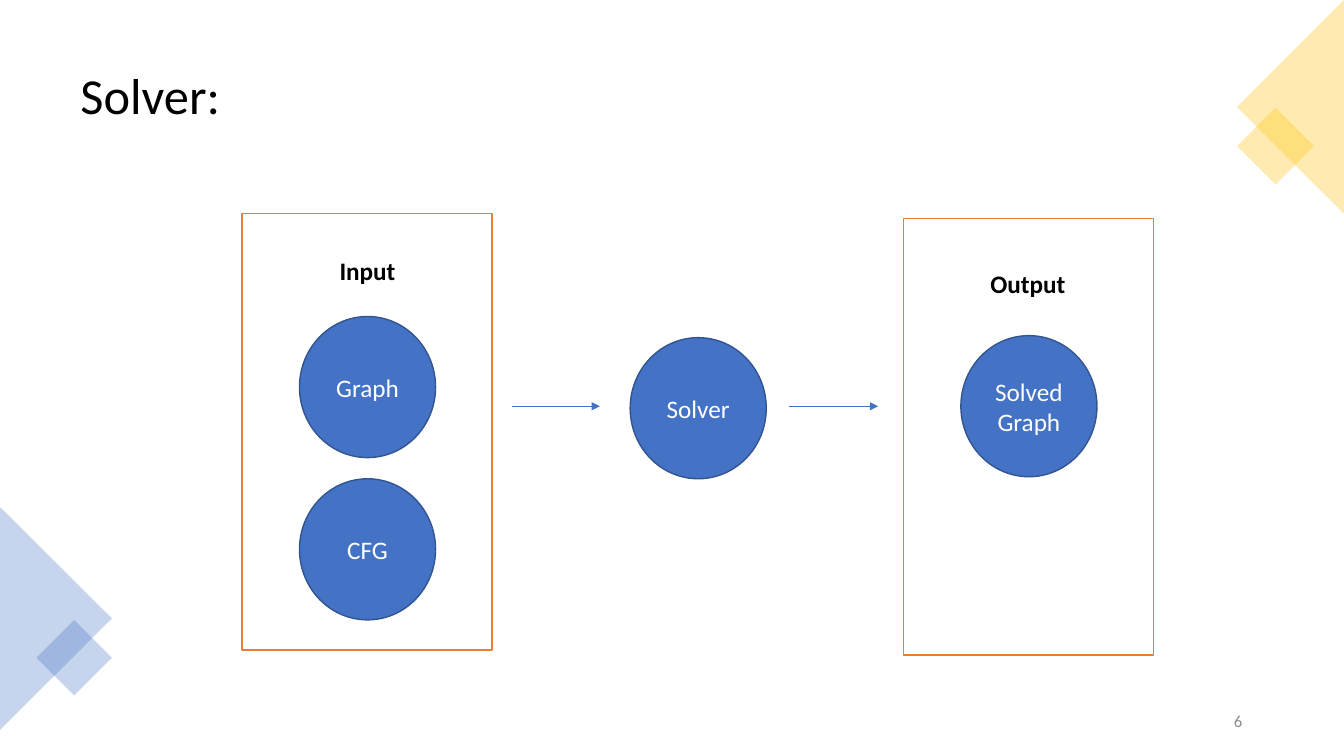
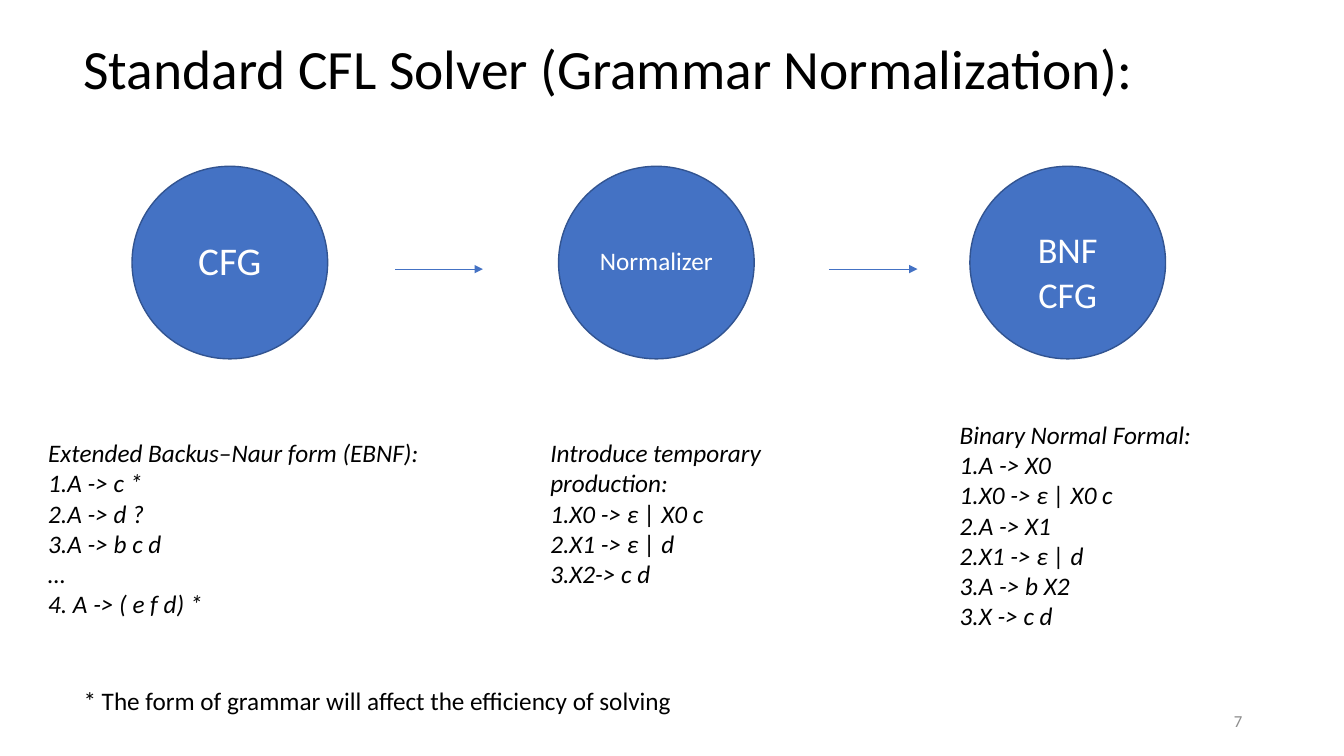
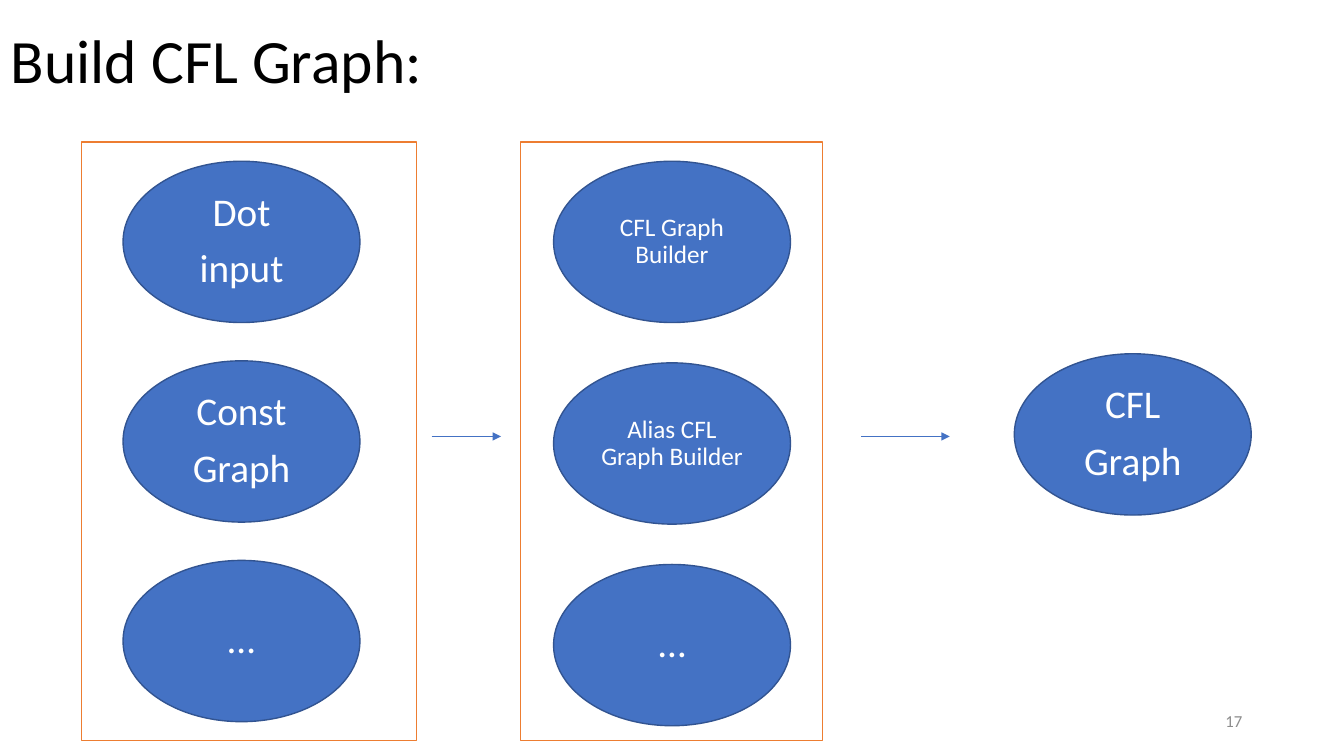
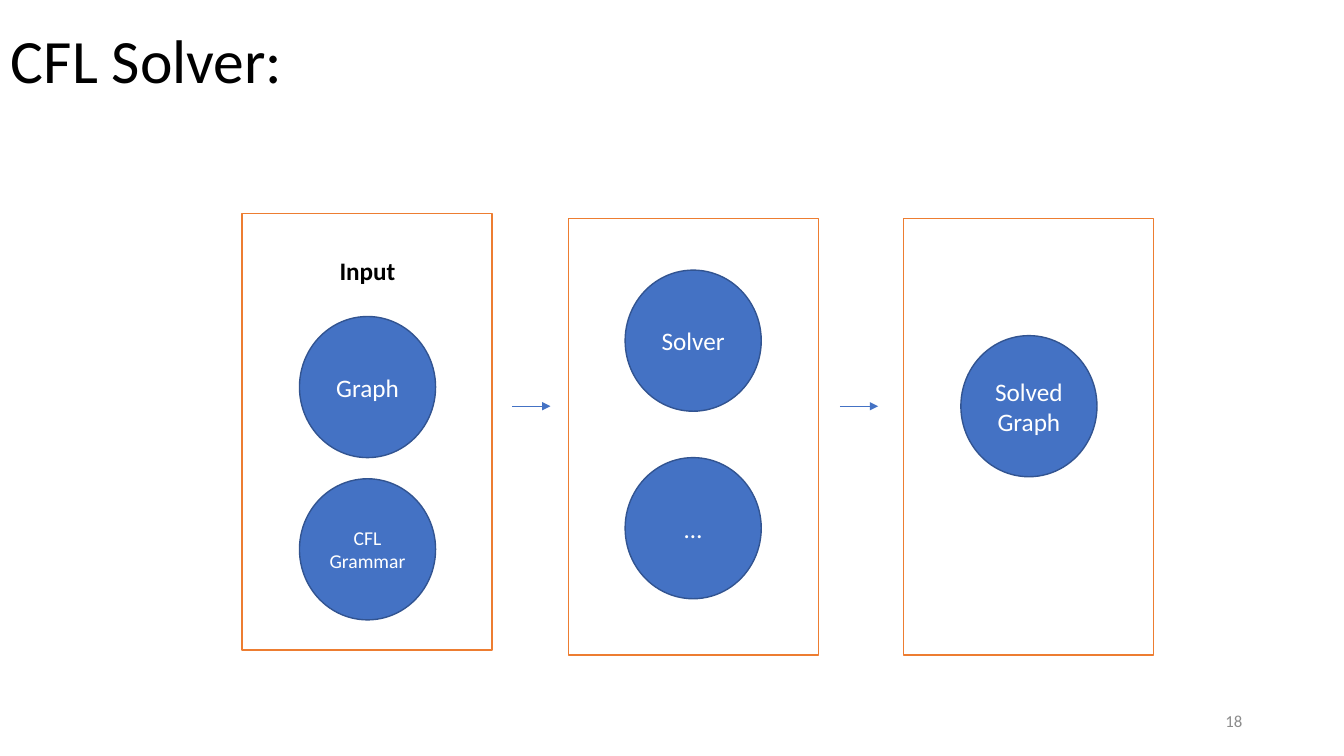
from lxml import etree
from pptx import Presentation
from pptx.dml.color import RGBColor
from pptx.enum.shapes import MSO_CONNECTOR, MSO_SHAPE
from pptx.enum.text import MSO_ANCHOR, PP_ALIGN
from pptx.oxml.ns import qn
from pptx.util import Inches, Pt

OVAL = MSO_SHAPE.OVAL
RECT = MSO_SHAPE.RECTANGLE
PEAK = MSO_SHAPE.ISOSCELES_TRIANGLE
LINE = MSO_CONNECTOR.STRAIGHT
TOP, MID = MSO_ANCHOR.TOP, MSO_ANCHOR.MIDDLE
LEFT, MIDST, RIGHT = PP_ALIGN.LEFT, PP_ALIGN.CENTER, PP_ALIGN.RIGHT

BLUE, NAVY, ORANGE, GOLD = "4472C4", "325491", "ED7D31", "FFC000"
WHITE, BLACK, GREY = "FFFFFF", "000000", "8C8C8C"
FACE = "Calibri"
PANEL = (2.48, 4.33)
DISC = (1.35, 1.4)
BIG = (1.94, 1.91)
WIDE = (2.35, 1.6)
FLOW = 4.03
HEAD = (0.01, 0.06, 12.02, 1.14)


def tint(hue):
    return RGBColor.from_string(hue)


def write(shape, text, size, hue=BLACK, align=LEFT, anchor=TOP,
          lead=None, gap=0, top=0.05, **marks):
    frame = shape.text_frame
    look = {"word_wrap": True, "vertical_anchor": anchor,
            "margin_top": Inches(top)}
    for key, value in look.items():
        setattr(frame, key, value)
    for rank, words in enumerate(text.split("\n")):
        para = frame.paragraphs[0] if rank == 0 else frame.add_paragraph()
        para.text = words
        form = {"alignment": align, "line_spacing": lead,
                "space_before": Pt(gap if rank else 0)}
        for key, value in form.items():
            setattr(para, key, value)
        for key, value in {"name": FACE, "size": Pt(size), **marks}.items():
            setattr(para.font, key, value)
        para.font.color.rgb = tint(hue)


def label(slide, box, text, size=18, **style):
    shape = slide.shapes.add_textbox(*map(Inches, box))
    write(shape, text, size, **style)


def block(slide, kind, box, fill, edge=None):
    shape = slide.shapes.add_shape(kind, *map(Inches, box))
    shape.shadow.inherit = False
    shape.fill.solid()
    shape.fill.fore_color.rgb = tint(fill)
    if edge:
        shape.line.color.rgb = tint(edge)
        shape.line.width = Pt(1)
    else:
        shape.line.fill.background()
    return shape


def panel(slide, x, y, size=PANEL):
    block(slide, RECT, (x, y, *size), WHITE, ORANGE)


def node(slide, x, y, text, dims=DISC, size=18, **style):
    shape = block(slide, OVAL, (x, y, *dims), BLUE, NAVY)
    write(shape, text, size, hue=WHITE, align=MIDST, anchor=MID, **style)


def arrow(slide, start, end, y):
    link = slide.shapes.add_connector(LINE, *map(Inches, (start, y, end, y)))
    link.line.color.rgb = tint(BLUE)
    link.line.width = Pt(0.5)
    tip = etree.SubElement(link.line._get_or_add_ln(), qn("a:tailEnd"))
    tip.set("type", "triangle")
    etree.SubElement(link._element.spPr, qn("a:effectLst"))


def gem(slide, kind, box, turn, hue):
    shape = block(slide, kind, box, hue)
    shape.rotation = turn
    shade = shape._element.spPr.find(".//" + qn("a:srgbClr"))
    etree.SubElement(shade, qn("a:alpha")).set("val", "30000")


def page(deck, title, number, box=HEAD, size=44):
    slide = deck.slides.add_slide(deck.slide_layouts[6])
    label(slide, box, title, size, anchor=MID, lead=0.9)
    label(slide, (9.42, 6.95, 3, 0.4), str(number), 12,
          hue=GREY, align=RIGHT, anchor=MID)
    return slide


def source(slide, rule, size=18):
    panel(slide, 2.4, 2.12)
    label(slide, (2.97, 2.48, 1.35, 0.4), "Input", align=MIDST, bold=True)
    node(slide, 2.97, 3.14, "Graph")
    node(slide, 2.97, 4.75, rule, size=size)


def result(slide):
    panel(slide, 8.96, 2.17)
    node(slide, 9.53, 3.33, "Solved\nGraph")


def solver(deck):
    slide = page(deck, "Solver:", 6, (0.7, 0.35, 11.93, 1.24), 36)
    gem(slide, PEAK, (-0.55, 5.58, 2.21, 1.11), 90, BLUE)
    gem(slide, RECT, (0.47, 6.26, 0.53, 0.53), 45, BLUE)
    gem(slide, RECT, (12.38, 1.18, 0.54, 0.54), 45, GOLD)
    gem(slide, PEAK, (11.74, 0.53, 2.12, 1.06), 270, GOLD)
    source(slide, "CFG")
    arrow(slide, 5.08, 5.95, FLOW)
    node(slide, 6.25, 3.35, "Solver")
    arrow(slide, 7.83, 8.71, FLOW)
    result(slide)
    label(slide, (9.52, 2.61, 1.35, 0.4), "Output", align=MIDST, bold=True)


def grammar(deck):
    slide = page(deck, "Standard CFL Solver (Grammar Normalization):", 7,
                 (0.73, 0.08, 11.5, 1.25), 39.6)
    node(slide, 1.31, 1.65, "CFG", BIG, 28, lead=0.9)
    node(slide, 5.54, 1.65, "Normalizer", BIG, lead=0.9)
    node(slide, 9.62, 1.65, "BNF\nCFG", BIG, 25.9, lead=0.9, gap=4, top=0.28)
    arrow(slide, 3.92, 4.79, 2.67)
    arrow(slide, 8.22, 9.1, 2.67)
    notes = [
        ((0.38, 4.29, 4.16, 1.92),
         "Extended Backus–Naur form (EBNF):\n1.A -> c *\n2.A -> d ?\n"
         "3.A -> b c d\n…\n4. A -> ( e f d) *"),
        ((5.36, 4.29, 3.14, 1.62),
         "Introduce temporary production:\n1.X0 -> ε | X0 c\n"
         "2.X1 -> ε | d\n3.X2-> c d"),
        ((9.42, 4.11, 2.6, 2.22),
         "Binary Normal Formal:\n1.A -> X0\n1.X0 -> ε | X0 c\n2.A -> X1\n"
         "2.X1 -> ε | d\n3.A -> b X2\n3.X -> c d"),
    ]
    for box, text in notes:
        label(slide, box, text, italic=True)
    label(slide, (0.73, 6.75, 6.71, 0.4),
          "* The form of grammar will affect the efficiency of solving")


def build(deck):
    slide = page(deck, "Build CFL Graph:", 17)
    panel(slide, 0.81, 1.41, (3.32, 5.94))
    panel(slide, 5.16, 1.41, (3, 5.94))
    stacks = [
        (1.22, 1.98, [("Dot\ninput", 28), ("Const\nGraph", 28), ("…", 28)]),
        (5.49, 2, [("CFL Graph Builder", 18),
                   ("Alias CFL Graph Builder", 18), ("…", 28)]),
    ]
    for x, step, items in stacks:
        for rank, (text, size) in enumerate(items):
            node(slide, x, 1.6 + rank * step, text, WIDE, size,
                 lead=0.9, gap=10)
    arrow(slide, 4.28, 4.97, 4.33)
    arrow(slide, 8.54, 9.42, 4.33)
    node(slide, 10.06, 3.51, "CFL\nGraph", WIDE, 28, lead=0.9, gap=10)


def solve(deck):
    slide = page(deck, "CFL Solver:", 18)
    source(slide, "CFL\nGrammar", 14)
    arrow(slide, 5.08, 5.46, FLOW)
    panel(slide, 5.64, 2.17)
    node(slide, 6.2, 2.68, "Solver")
    node(slide, 6.2, 4.54, "…")
    arrow(slide, 8.33, 8.71, FLOW)
    result(slide)


def main():
    deck = Presentation()
    deck.slide_width = Inches(13.33)
    deck.slide_height = Inches(7.5)
    for make in (solver, grammar, build, solve):
        make(deck)
    deck.save("out.pptx")


if __name__ == "__main__":
    main()
